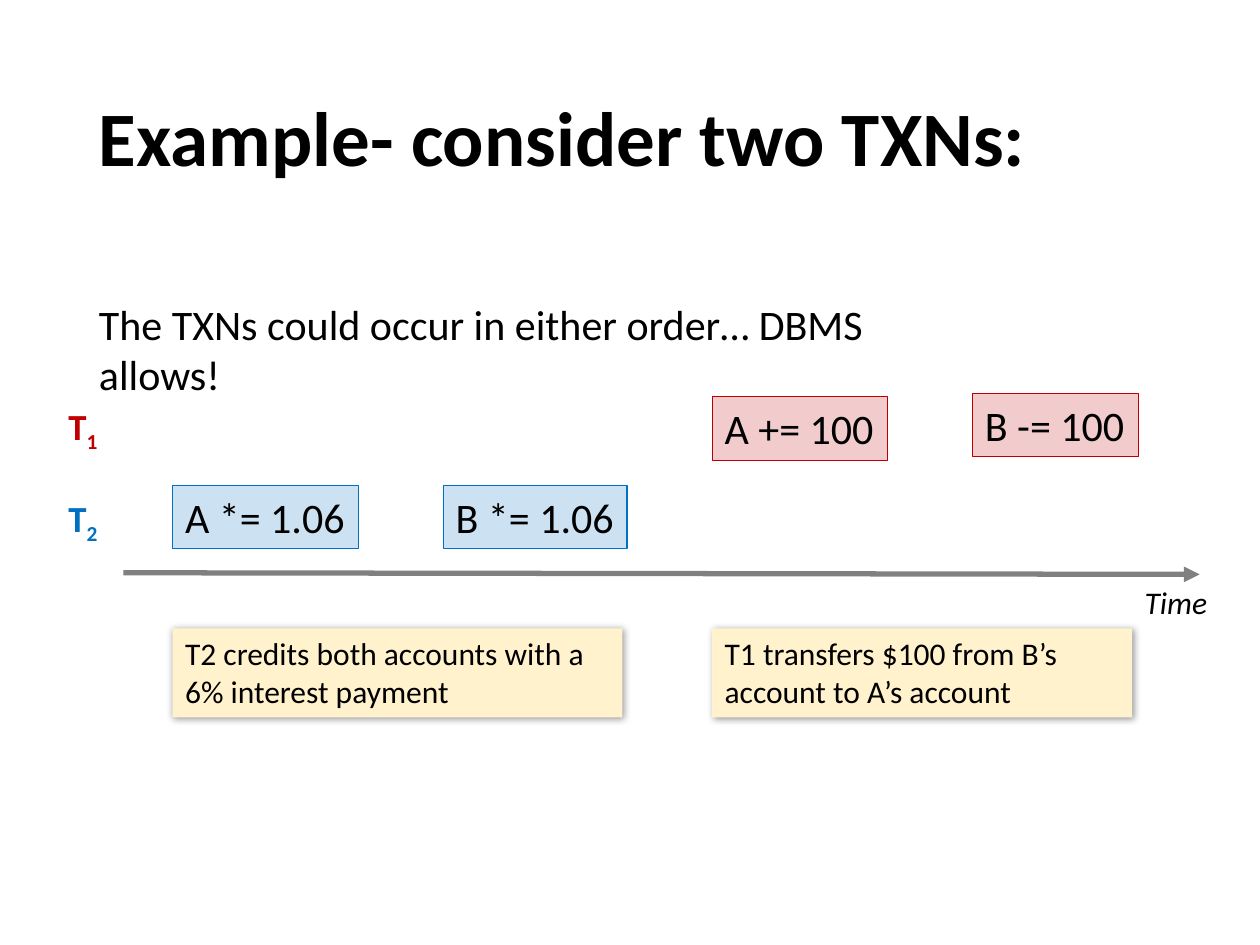
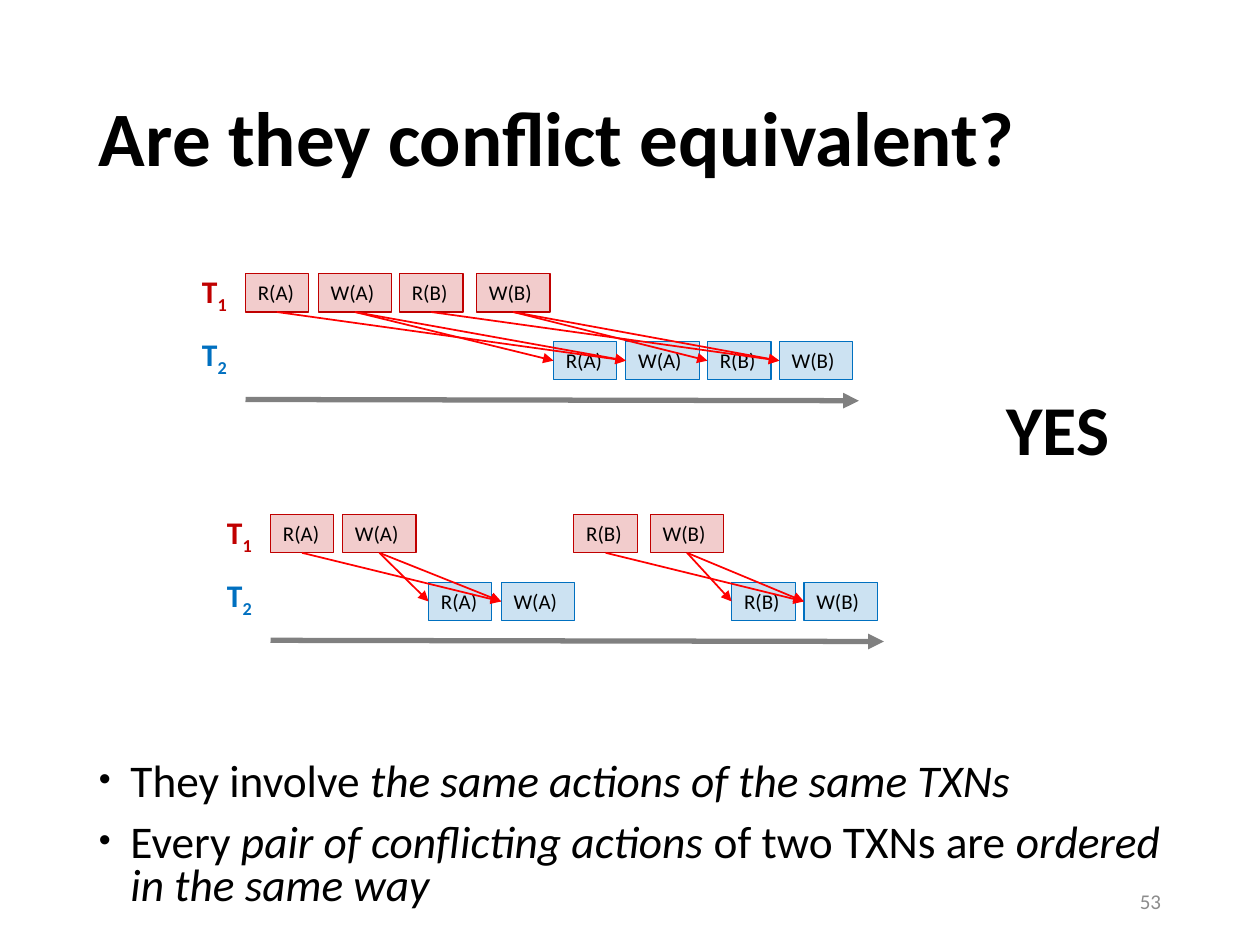
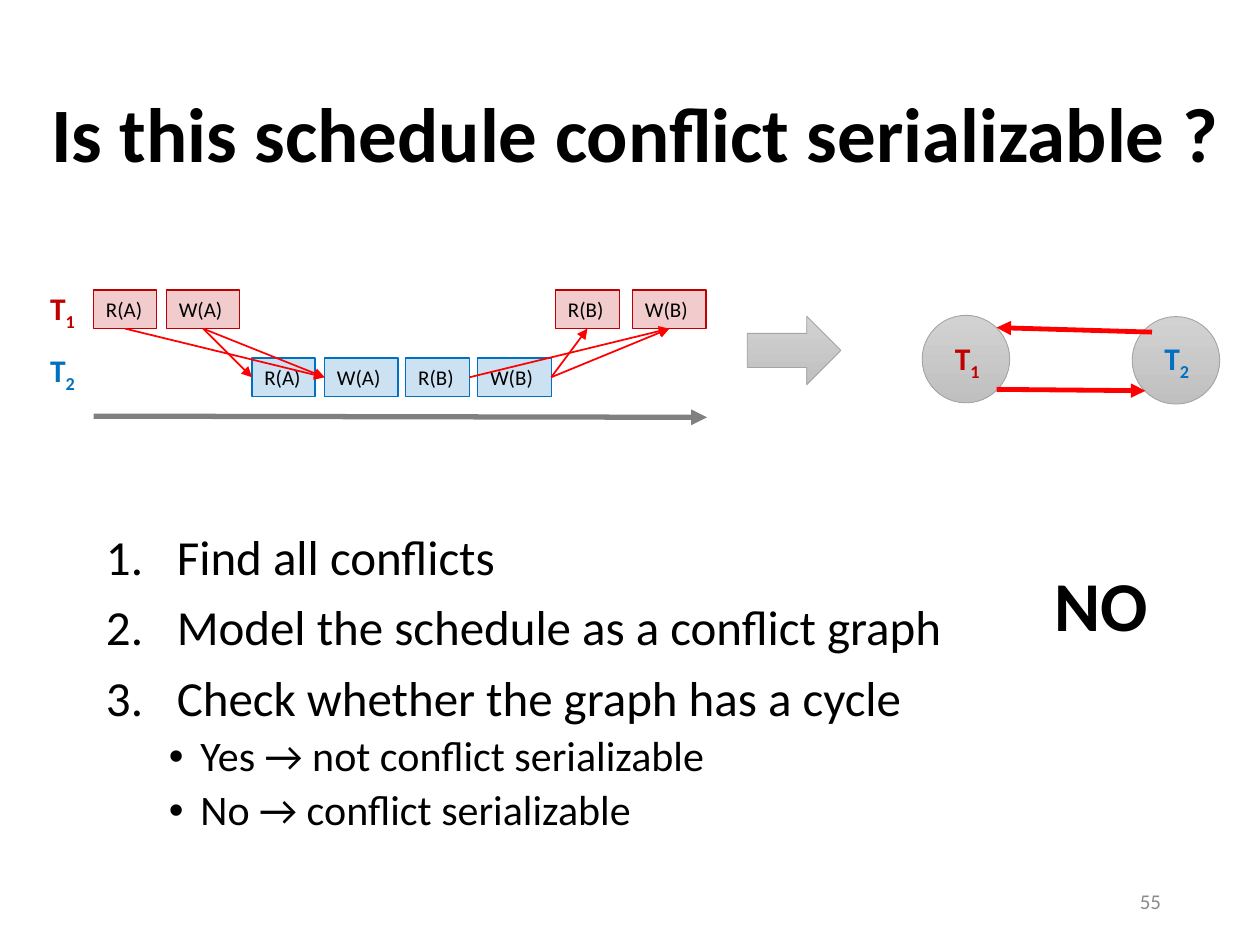
from itertools import combinations

from lxml import etree
from pptx import Presentation
from pptx.dml.color import RGBColor
from pptx.enum.shapes import MSO_CONNECTOR, MSO_SHAPE
from pptx.enum.text import MSO_ANCHOR, PP_ALIGN
from pptx.oxml.ns import qn
from pptx.util import Pt

RECT, OVAL, ARROW = MSO_SHAPE.RECTANGLE, MSO_SHAPE.OVAL, MSO_SHAPE.RIGHT_ARROW
LINE = MSO_CONNECTOR.STRAIGHT
TOP, MIDDLE = MSO_ANCHOR.TOP, MSO_ANCHOR.MIDDLE
LEFT, RIGHT = PP_ALIGN.LEFT, PP_ALIGN.RIGHT
FONT = "Calibri"
BLACK, GRAY, PALE, RED, CREAM = "000000", "808080", "8C8C8C", "FF0000", "FFF2CC"
TINTS = {1: "C00000", 2: "0070C0"}
WIDTHS = {"R(A)": 36, "W(A)": 42, "R(B)": 36.4, "W(B)": 42}


def color(code):
    """Turn a hex string into a colour."""
    return RGBColor.from_string(code)


def add(parent, tag, **attrs):
    """Append a drawing element with the given attributes."""
    return etree.SubElement(parent, qn("a:" + tag), {k: str(v) for k, v in attrs.items()})


class Deck:
    """Hold the style and the current slide."""

    def __init__(self):
        """Open an empty deck of 10 by 7.5 inches."""
        self.deck = Presentation()
        self.deck.slide_width, self.deck.slide_height = Pt(720), Pt(540)

    def page(self, title, x=49.5, y=29, w=621, number=None):
        """Start a slide with its title and page number."""
        self.slide = self.deck.slides.add_slide(self.deck.slide_layouts[6])
        self.text(x, y, w, 104, [(title, "b")], 44, anchor=MIDDLE, space=0.9)
        if number:
            self.text(508.5, 500.5, 162, 28.75, [(number, "")], 12, PALE,
                      anchor=MIDDLE, align=RIGHT, right=7.2)

    def say(self, para, runs, size, tint=BLACK):
        """Add runs, each with style letters: b bold, i italic, s subscript."""
        for words, style in runs:
            run = para.add_run()
            run.text = words
            font = run.font
            font.name, font.size = FONT, Pt(size)
            font.bold, font.italic = "b" in style, "i" in style
            font.color.rgb = color(tint)
            if "s" in style:
                run._r.get_or_add_rPr().set("baseline", "-25000")

    def frame(self, shape, anchor=TOP, right=0):
        """Prepare the text frame of a shape."""
        frame = shape.text_frame
        frame.word_wrap, frame.vertical_anchor = True, anchor
        frame.margin_right = Pt(right)
        return frame

    def text(self, x, y, w, h, runs, size, tint=BLACK, anchor=TOP,
             align=LEFT, space=1.0, right=0):
        """Place a text box with one paragraph."""
        box = self.slide.shapes.add_textbox(Pt(x), Pt(y), Pt(w), Pt(h))
        para = self.frame(box, anchor, right).paragraphs[0]
        para.alignment, para.line_spacing = align, space
        self.say(para, runs, size, tint)

    def label(self, x, y, row, size=18, w=29.5, h=29):
        """Place the name of a transaction."""
        self.text(x, y, w, h, [("T", "b"), (str(row), "bs")], size, TINTS[row])

    def items(self, x, y, w, h, rows, space):
        """Place a list of (runs, size, mark, margin, hang, gap) rows."""
        box = self.slide.shapes.add_textbox(Pt(x), Pt(y), Pt(w), Pt(h))
        frame = self.frame(box)
        for i, (runs, size, mark, margin, hang, gap) in enumerate(rows):
            para = frame.add_paragraph() if i else frame.paragraphs[0]
            props = para._p.get_or_add_pPr()
            props.set("marL", str(Pt(margin)))
            props.set("indent", str(-Pt(hang)))
            para.line_spacing, para.space_before = space, Pt(gap if i else 0)
            if mark == "1.":
                add(props, "buFont", typeface=FONT)
                add(props, "buAutoNum", type="arabicPeriod")
            else:
                add(props, "buSzPct", val=mark)
                add(props, "buFont", typeface="Arial")
                add(props, "buChar", char="•")
            self.say(para, runs, size)

    def shape(self, kind, x, y, w, h):
        """Place a preset shape without a shadow."""
        shape = self.slide.shapes.add_shape(kind, Pt(x), Pt(y), Pt(w), Pt(h))
        shape.shadow.inherit = False
        return shape

    def block(self, x, y, w, h, words, size, fill, edge=None):
        """Place a box of left-aligned text, see-through if it has an edge."""
        box = self.shape(RECT, x, y, w, h)
        box.fill.solid()
        box.fill.fore_color.rgb = color(fill)
        if edge:
            add(box._element.spPr.find(qn("a:solidFill"))[0], "alpha", val=20000)
            box.line.color.rgb = color(edge)
            box.line.width = Pt(0.75)
        else:
            box.line.fill.background()
        para = self.frame(box).paragraphs[0]
        para.alignment = LEFT
        self.say(para, [(words, "")], size)
        return box

    def step(self, x, y, w, h, words, size, row):
        """Place one action of a transaction."""
        return self.block(x, y, w, h, words, size, TINTS[row], TINTS[row])

    def note(self, x, w, words):
        """Place a note with a soft shadow."""
        box = self.block(x, 359, w, 51, words, 18, CREAM)
        effects = box._element.spPr.find(qn("a:effectLst"))
        shade = add(effects, "outerShdw", blurRad=Pt(4), dist=Pt(1), dir=2700000,
                    algn="tl", rotWithShape=0)
        add(add(shade, "srgbClr", val=BLACK), "alpha", val=40000)

    def metal(self, kind, x, y, w, h):
        """Place a shape with a grey gradient."""
        shape = self.shape(kind, x, y, w, h)
        shape.fill.gradient()
        shape.fill.gradient_angle = 270
        for stop, tint in zip(shape.fill.gradient_stops, ("D2D2D2", "C0C0C0")):
            stop.color.rgb = color(tint)
        shape.line.color.rgb = color("A5A5A5")
        shape.line.width = Pt(0.5)

    def arrow(self, x1, y1, x2, y2, tint, width):
        """Draw a straight arrow."""
        line = self.slide.shapes.add_connector(LINE, Pt(x1), Pt(y1), Pt(x2), Pt(y2))
        line.line.color.rgb = color(tint)
        line.line.width = Pt(width)
        add(line.line._get_or_add_ln(), "tailEnd", type="triangle")
        add(line._element.spPr, "effectLst")
        return line

    def plan(self, x, y, steps):
        """Draw a schedule of (row, action, offset) and join its conflicts."""
        self.arrow(x, y + 72, x + 350.5, y + 72.7, GRAY, 3)
        for row, drop in ((1, -4.2), (2, 31.5)):
            self.label(x - 32, y + drop, row)
        boxes = [(row, act, self.step(x + dx, y + 38.8 * (row - 1), WIDTHS[act], 22,
                                      act, 12, row))
                 for row, act, dx in steps]
        for (row, act, box), (other, later, target) in combinations(boxes, 2):
            if row != other and act[1:] == later[1:] and "W" in act[0] + later[0]:
                line = self.arrow(0, 0, 0, 0, RED, 1)
                line.begin_connect(box, 2 if row == 1 else 3)
                line.end_connect(target, 1 if row == 1 else 2)


def main():
    """Build the three slides."""
    deck = Deck()

    deck.page("Example- consider two TXNs:")
    deck.note(407, 240, "T1 transfers $100 from B’s account to A’s account")
    deck.note(98.7, 257, "T2 credits both accounts with a 6% interest payment")
    deck.arrow(70.5, 327.3, 685.5, 328.2, GRAY, 3)
    for row, y in ((1, 227), (2, 279.5)):
        deck.label(32, y, row, 21, 32, 32.5)
    for x, y, w, words, row in ((407, 226.7, 100, "A += 100", 1),
                                (555.7, 224.7, 95, "B -= 100", 1),
                                (98.7, 277.3, 106, "A *= 1.06", 2),
                                (253.3, 277.3, 105, "B *= 1.06", 2)):
        deck.step(x, y, w, 36.3, words, 24, row)
    deck.text(647, 329.8, 50.5, 29, [("Time", "i")], 18)
    deck.text(49.5, 167, 512, 36,
              [("The TXNs could occur in either order… DBMS allows!", "")], 24)

    deck.page("Are they conflict equivalent?", number="53")
    deck.items(49.5, 432, 621, 85, [
        ([("They involve ", ""), ("the same actions of the same TXNs", "i")],
         25.9, 75000, 18, 18, 10),
        ([("Every ", ""), ("pair of conflicting actions", "i"),
          (" of two TXNs are ", ""), ("ordered in the same way", "i")],
         25.9, 75000, 18, 18, 10)], 0.8)
    deck.text(568, 216.5, 74, 55.5, [("YES", "b")], 40)
    deck.plan(140.3, 156.3, [
        (1, "R(A)", 0), (1, "W(A)", 41.6), (1, "R(B)", 88), (1, "W(B)", 132),
        (2, "R(A)", 176), (2, "W(A)", 217.3), (2, "R(B)", 264), (2, "W(B)", 305)])
    deck.plan(154.6, 293.9, [
        (1, "R(A)", 0), (1, "W(A)", 41.2), (2, "R(A)", 90.3), (2, "W(A)", 131.8),
        (1, "R(B)", 173.3), (1, "W(B)", 217), (2, "R(B)", 263.5), (2, "W(B)", 304.8)])

    deck.page("Is this schedule conflict serializable ?", 22.3, 26.6, 695.5, "55")
    for row, x, y, left in ((1, 527, 180.2, 538.5), (2, 647, 180.9, 658.3)):
        deck.metal(OVAL, x, y, 50, 50)
        deck.label(left, 190.2, row)
    deck.arrow(569.5, 222.5, 654.5, 223.3, RED, 2.75)
    deck.metal(ARROW, 427, 180.8, 53.5, 39)
    deck.plan(53.5, 165.8, [
        (1, "R(A)", 0), (1, "W(A)", 41.6), (2, "R(A)", 90.5), (2, "W(A)", 132),
        (2, "R(B)", 178.4), (2, "W(B)", 219.5), (1, "R(B)", 264), (1, "W(B)", 308)])
    deck.arrow(658.3, 189.8, 569.5, 187.2, RED, 2.75)
    deck.items(53.5, 301, 621, 180, [
        ([(words, "")], 28, "1.", 40.5, 40.5, 10) for words in (
            "Find all conflicts",
            "Model the schedule as a conflict graph",
            "Check whether the graph has a cycle")] + [
        ([(words, "")], 24, 100000, 54, 18, 5) for words in (
            "Yes → not conflict serializable",
            "No → conflict serializable")], 0.9)
    deck.text(595.5, 317.5, 68.5, 55.5, [("NO", "b")], 40)

    deck.deck.save("out.pptx")


if __name__ == "__main__":
    main()
